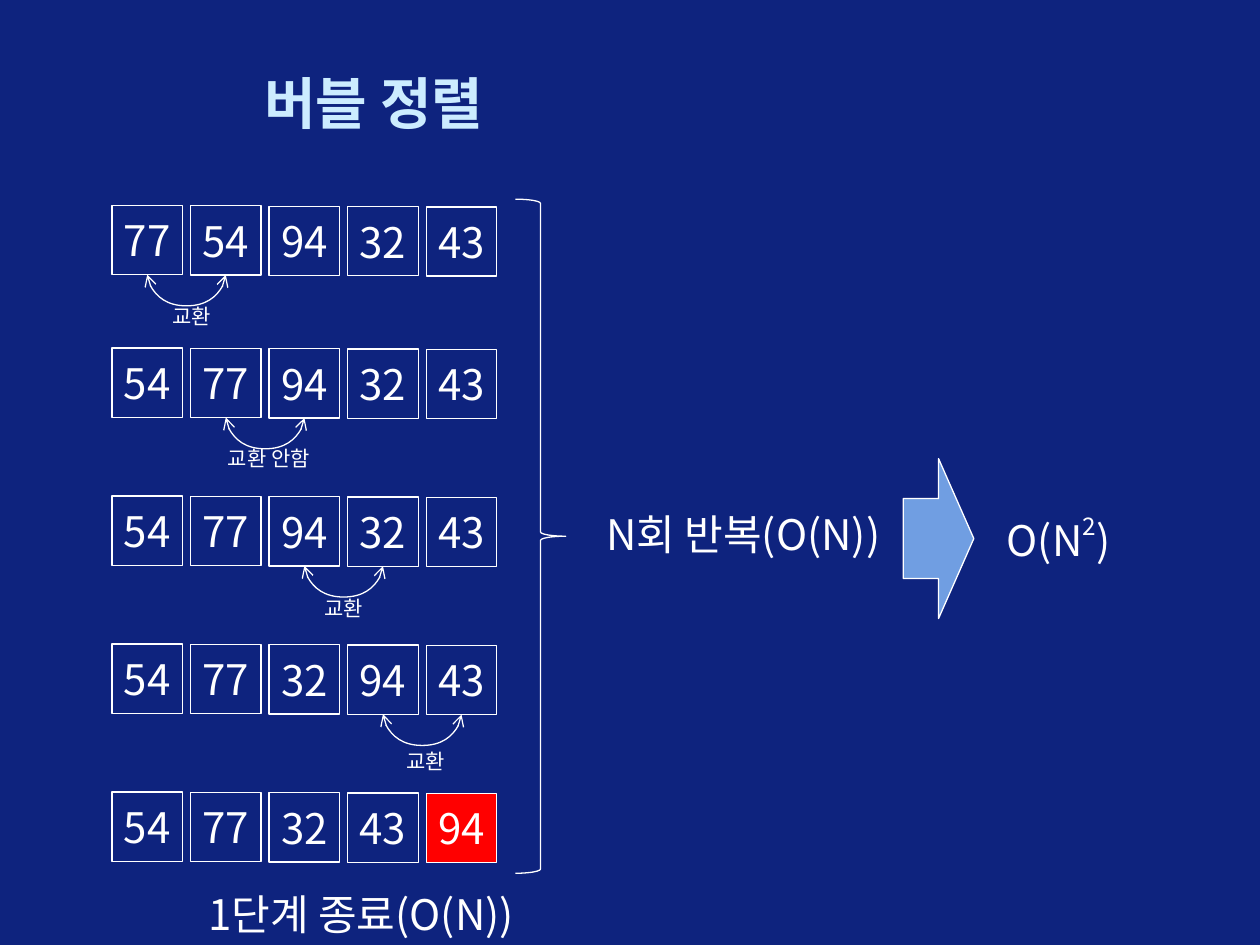
import pptx
import pptx.util
import pptx.dml.color
import pptx.enum.shapes
import pptx.enum.text
import pptx.oxml.ns
import lxml.etree

Pt = pptx.util.Pt
RGB = pptx.dml.color.RGBColor.from_string
qn = pptx.oxml.ns.qn
SHAPE = pptx.enum.shapes.MSO_SHAPE
ALIGN = pptx.enum.text.PP_ALIGN
ANCHOR = pptx.enum.text.MSO_ANCHOR
AUTO_SIZE = pptx.enum.text.MSO_AUTO_SIZE

COLORS = {
    "navy": "0E237E",
    "white": "FFFFFF",
    "title": "CCECFF",
    "sorted": "FF0000",
    "arrow": "709EE2",
}
KOREAN = "Noto Sans CJK KR"


def write(box, text, size=24, font=KOREAN, color="white", bold=False,
          align=ALIGN.CENTER, anchor=ANCHOR.TOP, grow=False, baseline=0):
    frame = box.text_frame
    frame.word_wrap = False
    frame.vertical_anchor = anchor
    if grow:
        frame.auto_size = AUTO_SIZE.SHAPE_TO_FIT_TEXT
    para = frame.paragraphs[0]
    para.alignment = align
    span = para.add_run()
    span.text = text
    span.font.size = Pt(size)
    span.font.name = font
    span.font.bold = bold
    span.font.color.rgb = RGB(COLORS[color])
    properties = span.font._element
    lxml.etree.SubElement(properties, qn("a:ea"), typeface=KOREAN)
    if baseline:
        properties.set("baseline", str(baseline * 1000))


def add_outlined(kind, left, top, width, height, fill=None):
    shape = page.shapes.add_shape(kind, Pt(left), Pt(top), Pt(width), Pt(height))
    shape.shadow.inherit = False
    if fill:
        shape.fill.solid()
        shape.fill.fore_color.rgb = RGB(COLORS[fill])
    else:
        shape.fill.background()
    shape.line.color.rgb = RGB(COLORS["white"])
    shape.line.width = Pt(0.75)
    return shape


deck = pptx.Presentation()
deck.slide_width = Pt(720)
deck.slide_height = Pt(540)
page = deck.slides.add_slide(deck.slide_layouts[6])
page.background.fill.solid()
page.background.fill.fore_color.rgb = RGB(COLORS["navy"])

title = page.shapes.add_textbox(Pt(144), Pt(36), Pt(545.8), Pt(44.6))
write(title, "버블 정렬", size=32, font="Arial", color="title", bold=True,
      align=ALIGN.LEFT, anchor=ANCHOR.MIDDLE)

cell_left, cell_step, cell_drift = 64, 44.9, 0.2
cell_width, cell_height = 40.3, 39.6
row_tops = [117.4, 198.9, 283.4, 368, 452.6]
passes = [
    [77, 54, 94, 32, 43],
    [54, 77, 94, 32, 43],
    [54, 77, 94, 32, 43],
    [54, 77, 32, 94, 43],
    [54, 77, 32, 43, 94],
]
for row, (top, numbers) in enumerate(zip(row_tops, passes)):
    for column, number in enumerate(numbers):
        is_sorted = row == 4 and column == 4
        cell = add_outlined(SHAPE.RECTANGLE, cell_left + column * cell_step,
                            top + column * cell_drift, cell_width, cell_height,
                            "sorted" if is_sorted else "navy")
        write(cell, str(number), anchor=ANCHOR.MIDDLE)

arc_thickness, arc_depth = 0.2, 18
comparisons = [
    ("교환", 90, 169.9, 38.9),
    ("교환 안함", 120.2, 251.3, 67),
    ("교환", 177.1, 337, 38.9),
    ("교환", 223.9, 424.1, 38.9),
]
for step, (label, left, top, width) in enumerate(comparisons):
    middle = cell_left + cell_width / 2 + (step + 0.5) * cell_step
    base = row_tops[step] + cell_height + step * cell_drift
    arc = page.shapes.add_connector(
        pptx.enum.shapes.MSO_CONNECTOR.CURVE,
        Pt(middle + arc_thickness / 2), Pt(base - cell_step / 2),
        Pt(middle - arc_thickness / 2), Pt(base + cell_step / 2))
    arc.line.color.rgb = RGB(COLORS["white"])
    arc.line.width = Pt(0.75)
    properties = arc._element.spPr
    properties.find(qn("a:xfrm")).set("rot", "16200000")
    guides = properties.find(qn("a:prstGeom")).find(qn("a:avLst"))
    bend = round(arc_depth / arc_thickness * 100000)
    lxml.etree.SubElement(guides, qn("a:gd"), name="adj1", fmla=f"val {bend}")
    outline = properties.find(qn("a:ln"))
    for end in ("a:headEnd", "a:tailEnd"):
        lxml.etree.SubElement(outline, qn(end), type="arrow")
    lxml.etree.SubElement(properties, qn("a:effectLst"))
    caption = page.shapes.add_textbox(Pt(left), Pt(top), Pt(width), Pt(21.6))
    write(caption, label, size=12, grow=True)

add_outlined(SHAPE.RIGHT_BRACE, 294.5, 113.8, 28.8, 385.2)
add_outlined(SHAPE.RIGHT_ARROW, 516.2, 262.1, 40.3, 91.4, "arrow")

summaries = [
    (103.7, 504, 205.2, [("1단계 종료(O(N))", 0)]),
    (332.6, 287.3, 184.3, [("N회 반복(O(N))", 0)]),
    (565.9, 288.7, 77.8, [("O(N", 0), ("2", 50), (")", 0)]),
]
for left, top, width, pieces in summaries:
    summary = page.shapes.add_textbox(Pt(left), Pt(top), Pt(width), Pt(36))
    for text, baseline in pieces:
        write(summary, text, grow=True, baseline=baseline)

deck.save("out.pptx")
